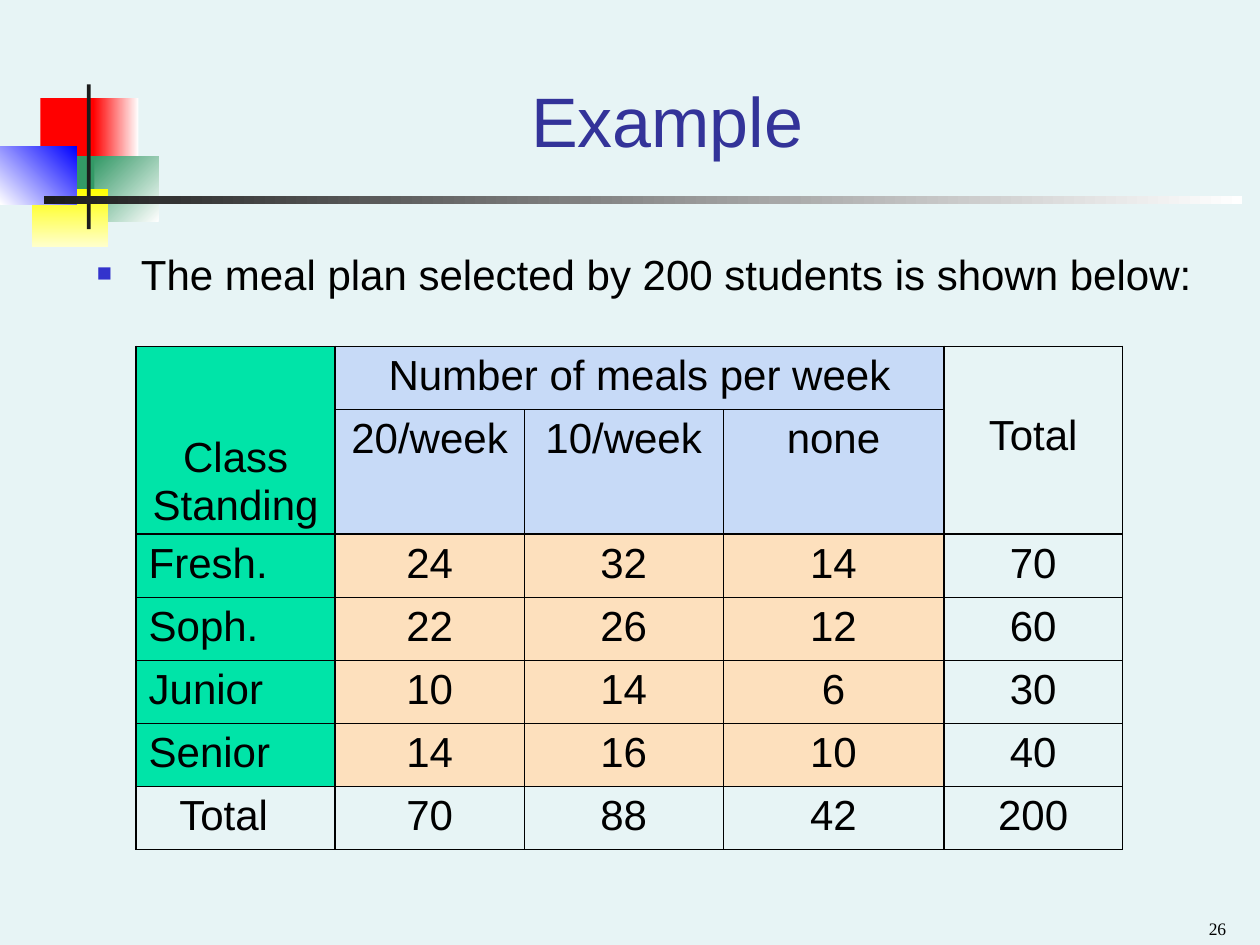
"""Build a slide with a two-way table of student meal plans."""
import itertools

import pptx
import pptx.dml.color
import pptx.enum.shapes
import pptx.enum.text
import pptx.oxml
import pptx.oxml.ns
import pptx.util

RGB = pptx.dml.color.RGBColor
ALIGN = pptx.enum.text.PP_ALIGN
ANCHOR = pptx.enum.text.MSO_ANCHOR
Pt = pptx.util.Pt
Inches = pptx.util.Inches

WIDE, HIGH = Inches(10), Inches(7.5)
BACK = RGB(0xE7, 0xF4, 0xF5)
BLACK = RGB(0, 0, 0)
WHITE = RGB(0xFF, 0xFF, 0xFF)
COAL = RGB(0x1C, 0x1C, 0x1C)
RED = RGB(0xFF, 0, 0)
GREEN = RGB(0x33, 0x99, 0x66)
YELLOW = RGB(0xFF, 0xFF, 0)
CREAM = RGB(0xFF, 0xFF, 0xCC)
BLUE = RGB(0, 0, 0xFF)
NAVY = RGB(0x33, 0x33, 0x99)
BULLET = RGB(0x33, 0x33, 0xCC)
MINT = RGB(0, 0xE4, 0xA8)
SKY = RGB(0xC7, 0xDA, 0xF7)
PEACH = RGB(0xFD, 0xE0, 0xBD)

HEAVY, THIN = 1.08, 0.45
COLS = (15.8, 15, 15.8, 17.5, 14.2)
ROWS = (6.67, 13.2) + (6.67,) * 5
THICK_COLS, THICK_ROWS = {0, 1, 4, 5}, {0, 2, 6, 7}
MERGES = ((0, 0, 1, 0), (0, 1, 0, 3), (0, 4, 1, 4))
DATA = (
    ("Class\nStanding", "Number of meals per week", "", "", "Total"),
    ("", "20/week", "10/week", "none", ""),
    ("Fresh.", "24", "32", "14", "70"),
    ("Soph.", "22", "26", "12", "60"),
    ("Junior", "10", "14", "6", "30"),
    ("Senior", "14", "16", "10", "40"),
    ("Total", "70", "88", "42", "200"),
)
DECOR = (
    ((3.2, 10.4, 4.8, 6.93), (RED,), 0),
    ((7.4, 10.4, 3.6, 6.93), (WHITE, RED), 180),
    ((7.5, 16.53, 5.1, 6.93), (WHITE, GREEN), 225),
    ((4.3, 16.53, 3.2, 6.93), (GREEN,), 0),
    ((2.5, 20, 6.1, 6.13), (YELLOW, CREAM), 90),
    ((0, 15.47, 6.1, 6.13), (BLUE, WHITE), 135),
    ((6.9, 8.93, 0.3, 15.33), (COAL,), 0),
    ((3.5, 20.8, 95.1, 0.8), (WHITE, COAL), 180),
)


def place(x, y, w, h):
    """Turn percentages of the slide into lengths."""
    return [int(side * part / 100) for side, part in zip((WIDE, HIGH) * 2, (x, y, w, h))]


def write(frame, words, size=24, font="Arial", color=BLACK, align=ALIGN.LEFT, gap=0, line=None):
    """Fill a text frame with formatted paragraphs."""
    frame.word_wrap = True
    for i, words in enumerate(words.split("\n")):
        para = frame.add_paragraph() if i else frame.paragraphs[0]
        para.alignment, para.space_before, para.line_spacing = align, Pt(gap), line
        run = para.add_run()
        run.text = words
        run.font.size, run.font.name = Pt(size), font
        run.font.color.rgb = color


def label(slide, area, words, anchor=ANCHOR.TOP, **style):
    """Add a text box and return its frame."""
    frame = slide.shapes.add_textbox(*place(*area)).text_frame
    frame.vertical_anchor = anchor
    write(frame, words, **style)
    return frame


def mark(para):
    """Give a paragraph a small square bullet."""
    props = para._p.get_or_add_pPr()
    props.set("marL", str(Inches(0.35)))
    props.set("indent", str(-Inches(0.35)))
    space = pptx.oxml.ns.nsdecls("a")
    for xml in (f'<a:buClr {space}><a:srgbClr val="{BULLET}"/></a:buClr>',
                f'<a:buSzPct {space} val="60000"/>',
                f'<a:buFont {space} typeface="Arial"/>',
                f'<a:buChar {space} char="■"/>'):
        props.append(pptx.oxml.parse_xml(xml))


def block(slide, area, tones, angle):
    """Add a plain or shaded rectangle."""
    kind = pptx.enum.shapes.MSO_SHAPE.RECTANGLE
    shape = slide.shapes.add_shape(kind, *place(*area))
    shape.shadow.inherit = False
    shape.line.fill.background()
    if len(tones) == 1:
        shape.fill.solid()
        shape.fill.fore_color.rgb = tones[0]
        return
    shape.fill.gradient()
    shape.fill.gradient_angle = 360 - angle
    for stop, tone in zip(shape.fill.gradient_stops, tones):
        stop.color.rgb = tone


def rule(cell, row, col):
    """Draw the borders of a cell, heavy between table regions."""
    right, base = col + 1, row + 1
    if cell.is_merge_origin:
        right, base = col + cell.span_width, row + cell.span_height
    edges = (("L", col in THICK_COLS), ("R", right in THICK_COLS),
             ("T", row in THICK_ROWS), ("B", base in THICK_ROWS))
    for side, thick in edges:
        if cell.is_spanned and not thick:
            continue
        width = Pt(HEAVY if thick else THIN)
        cell._tc.get_or_add_tcPr().append(pptx.oxml.parse_xml(
            f'<a:ln{side} {pptx.oxml.ns.nsdecls("a")} w="{width}"><a:solidFill>'
            f'<a:srgbClr val="{BLACK}"/></a:solidFill></a:ln{side}>'))


def tint(cell, row, col):
    """Fill a cell by its table region."""
    if row == len(ROWS) - 1 or col == len(COLS) - 1:
        cell.fill.background()
        return
    cell.fill.solid()
    cell.fill.fore_color.rgb = MINT if col == 0 else SKY if row < 2 else PEACH


def grid(slide):
    """Add the meal plan table."""
    area = place(10.8, 36.67, sum(COLS), sum(ROWS))
    table = slide.shapes.add_table(len(ROWS), len(COLS), *area).table
    table.first_row = table.horz_banding = False
    for col, part in zip(table.columns, COLS):
        col.width = int(WIDE * part / 100)
    for row, part in zip(table.rows, ROWS):
        row.height = int(HIGH * part / 100)
    for top, left, base, right in MERGES:
        table.cell(top, left).merge(table.cell(base, right))
    for row, col in itertools.product(range(len(ROWS)), range(len(COLS))):
        cell = table.cell(row, col)
        rule(cell, row, col)
        tint(cell, row, col)
        if DATA[row][col]:
            side = ALIGN.LEFT if col == 0 and 1 < row < 6 else ALIGN.CENTER
            write(cell.text_frame, DATA[row][col], align=side, gap=6,
                  line=0.8 if row == col == 0 else None)
    table.cell(0, 0).vertical_anchor = ANCHOR.BOTTOM
    table.cell(0, 4).margin_top = Inches(0.52)
    table.cell(6, 0).margin_right = Inches(0.29)


def main():
    """Build and save the slide."""
    deck = pptx.Presentation()
    deck.slide_width, deck.slide_height = WIDE, HIGH
    slide = deck.slides.add_slide(deck.slide_layouts[6])
    slide.background.fill.solid()
    slide.background.fill.fore_color.rgb = BACK
    for item in DECOR:
        block(slide, *item)
    label(slide, (12.6, 3.33, 80.7, 14.4), "Example", anchor=ANCHOR.BOTTOM,
          size=40, color=NAVY, align=ALIGN.CENTER)
    body = label(slide, (6.7, 25.6, 90, 7.2),
                 "The meal plan selected by 200 students is shown below:", gap=6)
    mark(body.paragraphs[0])
    grid(slide)
    label(slide, (75, 95.33, 23.3, 4.67), "26", anchor=ANCHOR.BOTTOM,
          size=10, font="Times New Roman", align=ALIGN.RIGHT)
    deck.save("out.pptx")


if __name__ == "__main__":
    main()
